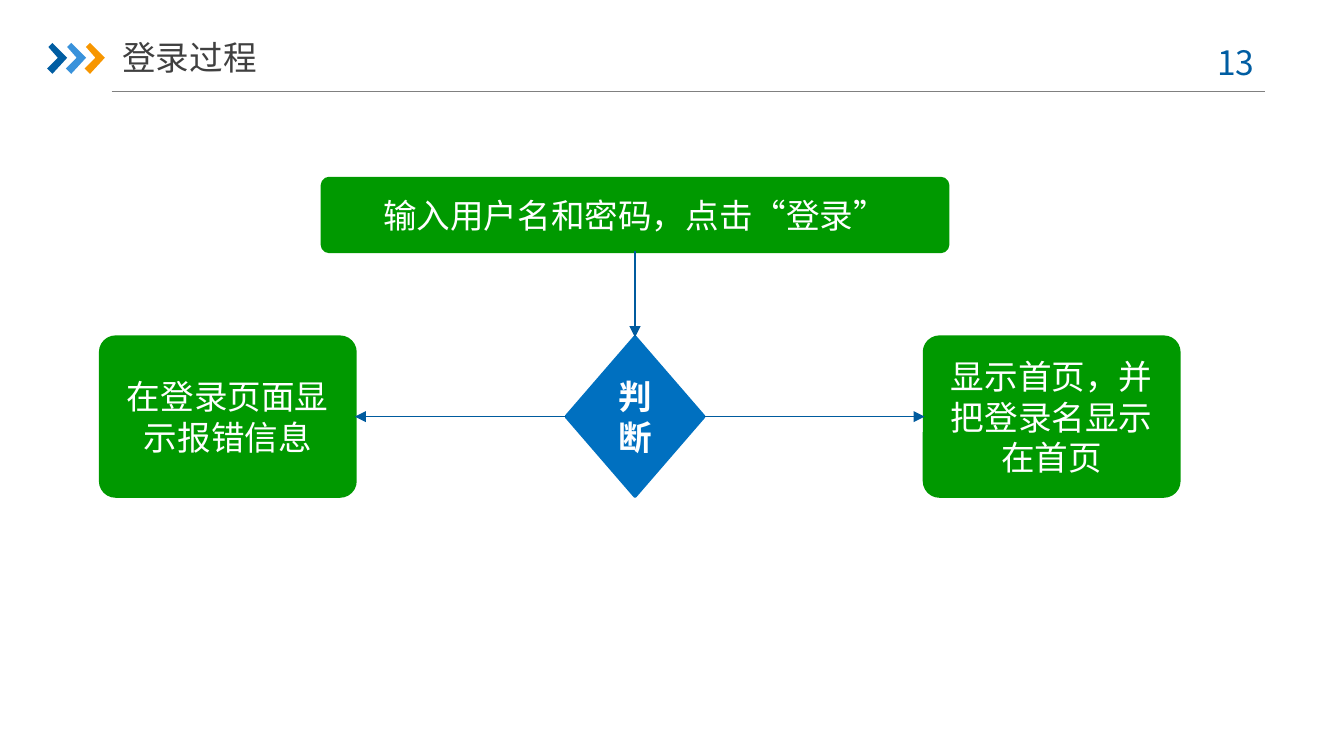
from dataclasses import dataclass

from lxml import etree
from pptx import Presentation
from pptx.dml.color import RGBColor
from pptx.enum.shapes import MSO_CONNECTOR, MSO_SHAPE
from pptx.enum.text import MSO_ANCHOR, PP_ALIGN
from pptx.oxml.ns import qn
from pptx.util import Inches, Pt

STRAIGHT = MSO_CONNECTOR.STRAIGHT
ROUNDED, DIAMOND = MSO_SHAPE.ROUNDED_RECTANGLE, MSO_SHAPE.DIAMOND
TOP, MIDDLE = MSO_ANCHOR.TOP, MSO_ANCHOR.MIDDLE
LEFT, CENTER = PP_ALIGN.LEFT, PP_ALIGN.CENTER
TOP_SITE, LEFT_SITE, BOTTOM_SITE, RIGHT_SITE = range(4)

FONT = "Noto Sans CJK SC"
FONT_SIZE = Pt(18)
WHITE = RGBColor(0xFF, 0xFF, 0xFF)
GREY = RGBColor(0x80, 0x80, 0x80)
DARK_GREY = RGBColor(0x40, 0x40, 0x40)
GREEN = RGBColor(0x00, 0x99, 0x00)
BLUE = RGBColor(0x00, 0x70, 0xC0)
ARROW_BLUE = RGBColor(0x00, 0x5B, 0x9E)
DEEP_BLUE = RGBColor(0x00, 0x5D, 0xA2)
LIGHT_BLUE = RGBColor(0x39, 0x92, 0xDB)
ORANGE = RGBColor(0xF7, 0x96, 0x00)

# 16:9 slide on a square grid: 100 columns across, rows of the same size
SLIDE_WIDTH = Inches(10)
SLIDE_HEIGHT = SLIDE_WIDTH * 9 // 16
CELL = SLIDE_WIDTH / 100

CHEVRON_OUTLINE = [(0.1, 0.3), (0.4, 0), (1.5, 1.1), (0.4, 2.3), (0, 1.9), (0.8, 1.1)]
CHEVRON_COLORS = [DEEP_BLUE, LIGHT_BLUE, ORANGE]
CHEVRON_LEFT, CHEVRON_TOP, CHEVRON_STEP = 3.5, 3.2, 1.4

# The decision and both outcomes share one row
OUTCOME_ROW, OUTCOME_ROWS = 25.1, 11.8


@dataclass(frozen=True)
class Area:
    column: float
    row: float
    columns: float
    rows: float

    def lengths(self) -> tuple:
        return tuple(map(grid, (self.column, self.row, self.columns, self.rows)))


@dataclass(frozen=True)
class Step:
    text: str
    area: Area
    kind: int = ROUNDED
    color: RGBColor = GREEN
    bold: bool = False


@dataclass(frozen=True)
class Arrow:
    start: str
    start_site: int
    end: str
    end_site: int


STEPS = {
    "input": Step("输入用户名和密码，点击“登录”", Area(24, 13.3, 46.5, 5.4)),
    "error": Step("在登录页面显示报错信息", Area(7.5, OUTCOME_ROW, 18.9, OUTCOME_ROWS)),
    "check": Step("判断", Area(42.15, OUTCOME_ROW, 10.2, OUTCOME_ROWS), DIAMOND, BLUE, True),
    "home": Step("显示首页，并把登录名显示在首页", Area(68.8, OUTCOME_ROW, 18.9, OUTCOME_ROWS)),
}
ARROWS = [
    Arrow("input", BOTTOM_SITE, "check", TOP_SITE),
    Arrow("check", LEFT_SITE, "error", RIGHT_SITE),
    Arrow("check", RIGHT_SITE, "home", LEFT_SITE),
]


def grid(cells: float) -> int:
    return round(cells * CELL)


def write_text(shape, text: str, color: RGBColor, align: int, anchor: int, bold: bool = False) -> None:
    frame = shape.text_frame
    frame.word_wrap = True
    frame.vertical_anchor = anchor
    paragraph = frame.paragraphs[0]
    paragraph.alignment = align
    run = paragraph.add_run()
    run.text = text
    run.font.size, run.font.bold, run.font.name = FONT_SIZE, bold, FONT
    run.font.color.rgb = color
    # East Asian typeface
    etree.SubElement(run.font._element, qn("a:ea")).set("typeface", FONT)


def draw_line(slide, color: RGBColor, ends: tuple = (0, 0, 0, 0)):
    line = slide.shapes.add_connector(STRAIGHT, *map(grid, ends))
    line.line.color.rgb = color
    line.line.width = Pt(0.75)
    etree.SubElement(line._element.spPr, qn("a:effectLst"))
    return line


def draw_chevrons(slide) -> None:
    group = slide.shapes.add_group_shape()
    for index, color in enumerate(CHEVRON_COLORS):
        left = CHEVRON_LEFT + index * CHEVRON_STEP
        points = [(grid(left + x), grid(CHEVRON_TOP + y)) for x, y in CHEVRON_OUTLINE]
        builder = group.shapes.build_freeform(*points[0])
        builder.add_line_segments(points[1:], close=True)
        chevron = builder.convert_to_shape()
        chevron.shadow.inherit = False
        chevron.fill.solid()
        chevron.fill.fore_color.rgb = color
        chevron.line.fill.background()


def draw_step(slide, step: Step):
    shape = slide.shapes.add_shape(step.kind, *step.area.lengths())
    if step.kind == ROUNDED:
        shape.adjustments[0] = 0.093
    shape.shadow.inherit = False
    shape.fill.solid()
    shape.fill.fore_color.rgb = step.color
    shape.line.color.rgb = step.color
    shape.line.width = Pt(2)
    write_text(shape, step.text, WHITE, CENTER, MIDDLE, step.bold)
    return shape


def draw_arrow(slide, arrow: Arrow, shapes: dict) -> None:
    line = draw_line(slide, ARROW_BLUE)
    line.begin_connect(shapes[arrow.start], arrow.start_site)
    line.end_connect(shapes[arrow.end], arrow.end_site)
    etree.SubElement(line.line._get_or_add_ln(), qn("a:tailEnd")).set("type", "triangle")


def main() -> None:
    presentation = Presentation()
    presentation.slide_width, presentation.slide_height = SLIDE_WIDTH, SLIDE_HEIGHT
    slide = presentation.slides.add_slide(presentation.slide_layouts[6])

    # Header: rule, chevrons, page number and title
    draw_line(slide, GREY, (8.3, 6.8, 94.1, 6.8))
    draw_chevrons(slide)
    number = slide.shapes.add_textbox(*Area(88.6, 2.6, 7.3, 4).lengths())
    write_text(number, "13 ", DEEP_BLUE, CENTER, TOP)
    title = slide.shapes.add_textbox(*Area(9.1, 2.15, 16.5, 4.2).lengths())
    title.text_frame.margin_left = title.text_frame.margin_right = 0
    write_text(title, "登录过程", DARK_GREY, LEFT, MIDDLE)

    # Login flow chart
    shapes = {name: draw_step(slide, step) for name, step in STEPS.items()}
    for arrow in ARROWS:
        draw_arrow(slide, arrow, shapes)

    presentation.save("out.pptx")


if __name__ == "__main__":
    main()
